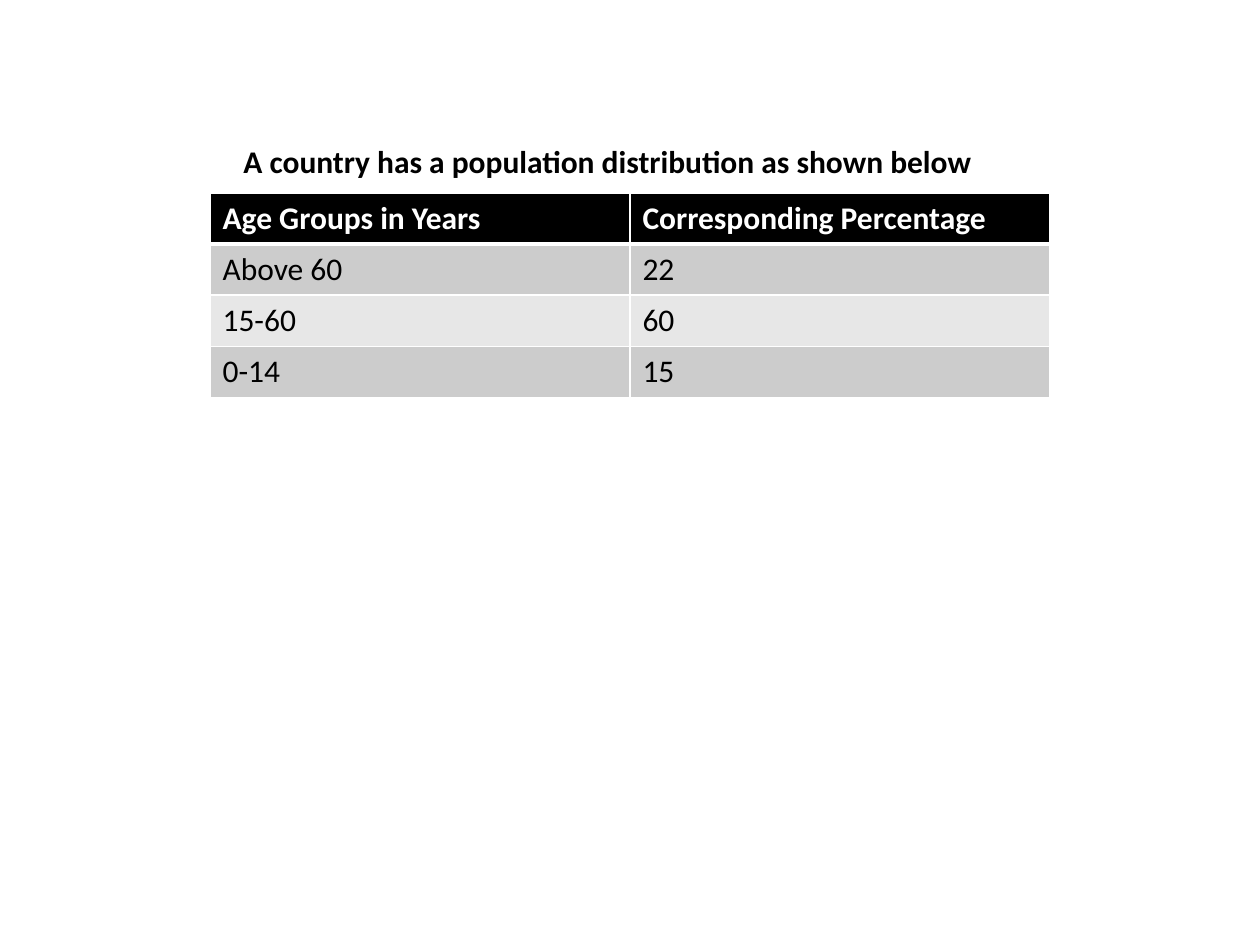
from lxml import etree
from pptx import Presentation
from pptx.dml.color import RGBColor
from pptx.enum.text import MSO_AUTO_SIZE
from pptx.oxml.ns import qn
from pptx.util import Pt

FIT = MSO_AUTO_SIZE.SHAPE_TO_FIT_TEXT
PX = 914400 // 126


def style(p, color, bold):
    for r in p.runs:
        r.font.name = "Calibri"
        r.font.size = Pt(18)
        r.font.bold = bold
        r.font.color.rgb = RGBColor.from_string(color)


def border(cell, side, width):
    ln = etree.SubElement(cell._tc.get_or_add_tcPr(), qn("a:" + side), w=str(Pt(width)))
    fill = etree.SubElement(ln, qn("a:solidFill"))
    etree.SubElement(fill, qn("a:srgbClr"), val="FFFFFF")


prs = Presentation()
prs.slide_width = 1260 * PX
prs.slide_height = 945 * PX
s = prs.slides.add_slide(prs.slide_layouts[6])

rows = [
    ("Age Groups in Years", "Corresponding Percentage"),
    ("Above 60", "22"),
    ("15-60", "60"),
    ("0-14", "15"),
]
table = s.shapes.add_table(4, 2, 210 * PX, 193 * PX, 840 * PX, 204 * PX).table
for i, row in enumerate(rows):
    header = i == 0
    fill = "000000" if header else ("E7E7E7", "CCCCCC")[i % 2]
    for j, text in enumerate(row):
        cell = table.cell(i, j)
        cell.text_frame.text = text
        style(cell.text_frame.paragraphs[0], "FFFFFF" if header else "000000", header)
        border(cell, "lnL", 1)
        border(cell, "lnR", 1)
        border(cell, "lnT", 3 if i == 1 else 1)
        border(cell, "lnB", 3 if header else 1)
        cell.fill.solid()
        cell.fill.fore_color.rgb = RGBColor.from_string(fill)

caption = s.shapes.add_textbox(231 * PX, 136 * PX, 760 * PX, 51 * PX)
tf = caption.text_frame
tf.word_wrap = False
tf.auto_size = FIT
tf.text = "A country has a population distribution as shown below"
style(tf.paragraphs[0], "000000", True)

prs.save("out.pptx")
